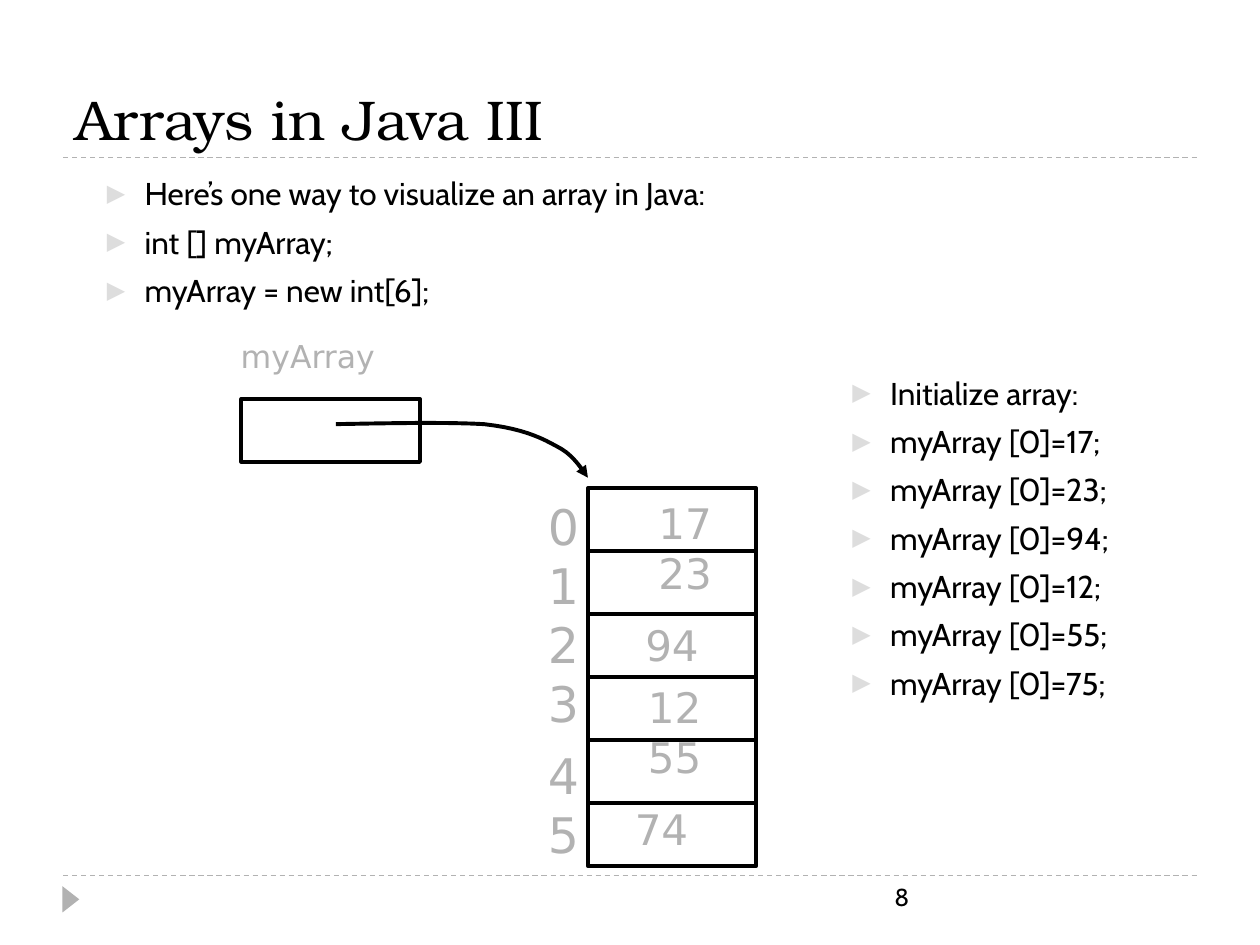
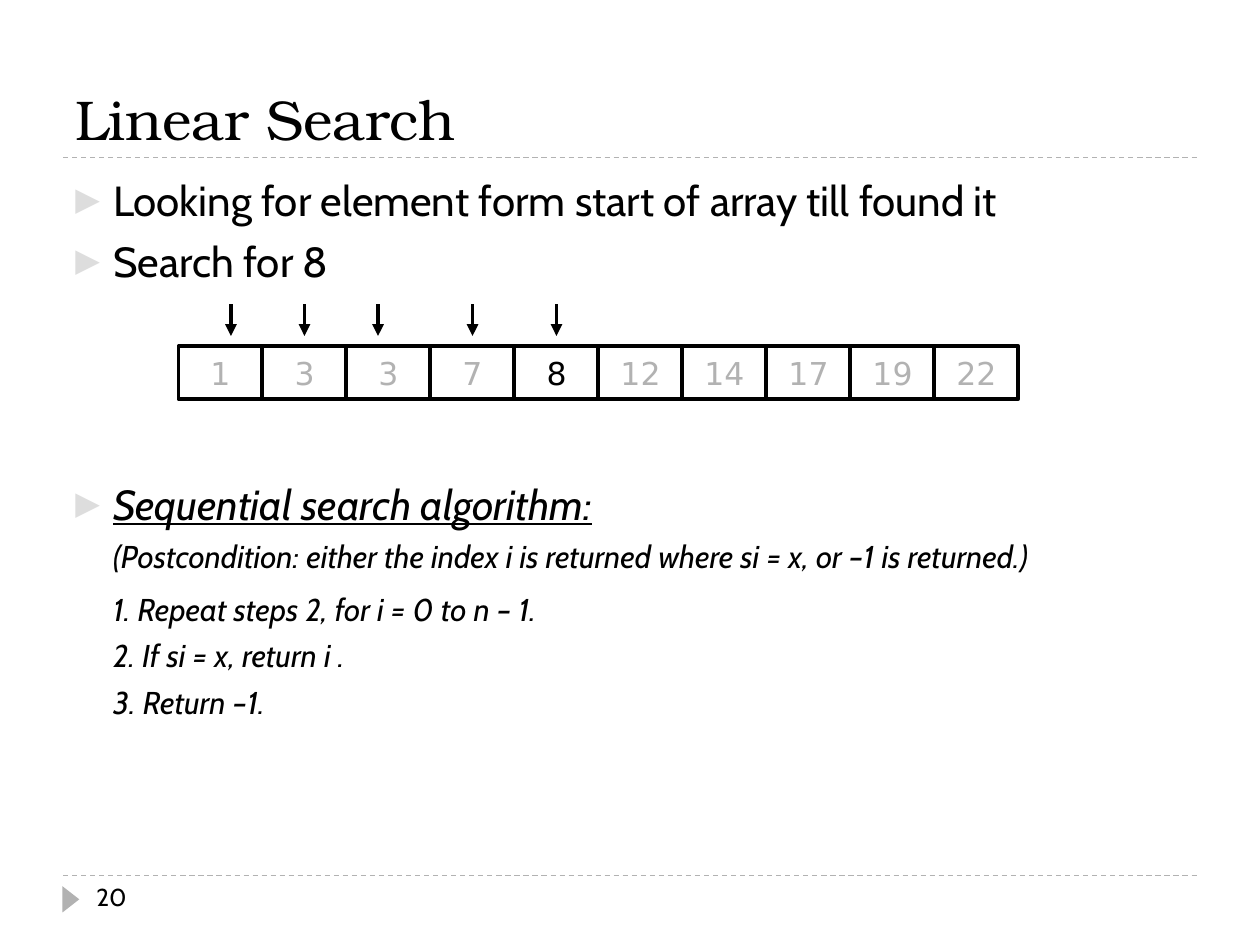
from typing import NamedTuple

from lxml.etree import SubElement
from pptx import Presentation
from pptx.dml.color import RGBColor
from pptx.enum.dml import MSO_LINE
from pptx.enum.shapes import MSO_CONNECTOR, MSO_SHAPE
from pptx.enum.text import MSO_ANCHOR, PP_ALIGN
from pptx.oxml.ns import qn
from pptx.util import Inches, Pt

COLOURS = {"ink": "000000", "muted": "B2B2B2", "bullet": "DDDDDD"}
TITLE_FONT, BODY_FONT, DIAGRAM_FONT = "TeX Gyre Bonum", "Cabin", "DejaVu Sans"
HANG = Inches(0.3)
COLUMNS, ROWS = 120, 90
SLIDE_WIDTH, SLIDE_HEIGHT = Inches(10), Inches(7.5)


class Box(NamedTuple):
    """An area measured in grid columns and rows."""
    x: float
    y: float
    w: float
    h: float

    def inner(self, dx, dy, w, h):
        return Box(self.x + dx, self.y + dy, w, h)

    def emu(self):
        return (*point(self.x, self.y), *point(self.w, self.h))


TITLE_AREA = Box(6, 2, 108, 13)
FOOTER_AREA = Box(6, 83.4, 108, 4.8)


def point(column, row):
    return round(column * SLIDE_WIDTH / COLUMNS), round(row * SLIDE_HEIGHT / ROWS)


def colour(name):
    return RGBColor.from_string(COLOURS[name])


# Text
def style(paragraph, size, font=BODY_FONT, ink="ink", italic=None, underline=None):
    face = paragraph.font
    face.size, face.name = Pt(size), font
    face.italic, face.underline = italic, underline
    face.color.rgb = colour(ink)


def text_frame(slide, box, anchor=MSO_ANCHOR.TOP):
    frame = slide.shapes.add_textbox(*box.emu()).text_frame
    frame.word_wrap = True
    frame.vertical_anchor = anchor
    return frame


def add_paragraph(frame, words, gap=0):
    """Append a paragraph; the first one in a frame gets no space before."""
    paragraph = frame.paragraphs[0]
    if paragraph.text:
        paragraph = frame.add_paragraph()
        paragraph.space_before = Pt(gap)
    paragraph.text = words
    return paragraph


def label(slide, box, words, size, anchor=MSO_ANCHOR.TOP, **look):
    style(add_paragraph(text_frame(slide, box, anchor), words), size, **look)


def indent(paragraph, margin, first=0):
    properties = paragraph._p.get_or_add_pPr()
    properties.set("marL", str(margin))
    properties.set("indent", str(first))
    return properties


def bullet(frame, words, size, gap=6, **look):
    paragraph = add_paragraph(frame, words, gap)
    properties = indent(paragraph, HANG, -HANG)
    bullet_colour = SubElement(properties, qn("a:buClr"))
    SubElement(bullet_colour, qn("a:srgbClr"), val=COLOURS["bullet"])
    SubElement(properties, qn("a:buSzPct"), val="76000")
    SubElement(properties, qn("a:buFont"), typeface=DIAGRAM_FONT)
    SubElement(properties, qn("a:buChar"), char="▶")
    style(paragraph, size, **look)


def bullet_list(slide, box, lines, size):
    frame = text_frame(slide, box)
    for line in lines:
        bullet(frame, line, size)
    return frame


# Lines and cells
def outline(line):
    line.color.rgb = colour("ink")
    line.width = Pt(2.25)


def arrowhead(line):
    SubElement(line._get_or_add_ln(), qn("a:tailEnd"), type="triangle")


def connect(slide, start, end):
    connector = slide.shapes.add_connector(
        MSO_CONNECTOR.STRAIGHT, *point(*start), *point(*end))
    SubElement(connector._element.spPr, qn("a:effectLst"))
    return connector


def dashed_rule(slide, x, y, width):
    line = connect(slide, (x, y), (x + width, y)).line
    line.color.rgb = colour("muted")
    line.width = Pt(0.75)
    line.dash_style = MSO_LINE.DASH


def cell(slide, box):
    rectangle = slide.shapes.add_shape(MSO_SHAPE.RECTANGLE, *box.emu())
    rectangle.shadow.inherit = False
    rectangle.fill.background()
    outline(rectangle.line)
    return rectangle


def bezier(start, first, second, end, steps=10):
    for step in range(1, steps + 1):
        t = step / steps
        weights = (1 - t) ** 3, 3 * t * (1 - t) ** 2, 3 * t * t * (1 - t), t ** 3
        yield tuple(sum(w * c for w, c in zip(weights, axis))
                    for axis in zip(start, first, second, end))


# Shared title, rules and footer
def slide_frame(deck, title, number, number_offset):
    slide = deck.slides.add_slide(deck.slide_layouts[6])
    area, footer = TITLE_AREA, FOOTER_AREA
    for y in (footer.y, area.y + area.h):
        dashed_rule(slide, area.x, y, area.w)
    marker = slide.shapes.add_shape(MSO_SHAPE.ISOSCELES_TRIANGLE,
                                    *footer.inner(-0.5, 1.45, 2.5, 1.6).emu())
    marker.rotation = 90
    marker.shadow.inherit = False
    marker.fill.solid()
    marker.fill.fore_color.rgb = colour("muted")
    marker.line.fill.background()
    label(slide, area, title, 32, MSO_ANCHOR.BOTTOM, font=TITLE_FONT)
    label(slide, footer.inner(number_offset, 0, 28, footer.h), number, 14)
    return slide


# Reference box, its pointer, and the stack of indexed cells
def array_diagram(slide, box):
    cell(slide, box.inner(0, 6.5, 17, 6))
    label(slide, box.inner(-1.25, 0, 19.5, 6), "myArray", 18,
          font=DIAGRAM_FONT, ink="muted")

    for dy, height, indices in ((15.2, 24, "0\v1\v2\v3"), (38.9, 12.5, "4\v5")):
        label(slide, box.inner(28, dy, 7, height), indices, 28,
              font=DIAGRAM_FONT, ink="muted")
    for index in range(6):
        cell(slide, box.inner(33, 15 + 6 * index, 16, 6))

    for dx, dy, pair, last in ((35, 15.3, "17\v23", "94"), (34, 32.8, "12\v55", "74")):
        frame = text_frame(slide, box.inner(dx, dy, 12, 18))
        for values, margin in ((pair, Inches(0.21)), (last, 0)):
            paragraph = add_paragraph(frame, values, gap=12)
            paragraph.alignment = PP_ALIGN.CENTER
            indent(paragraph, margin)
            style(paragraph, 24, DIAGRAM_FONT, "muted")

    curve = [(9, 8.9), (14.3, 8.8), (19.5, 8.7), (23.1, 8.9), (26.6, 9.3),
             (28.4, 10.1), (30, 11), (31.7, 11.8), (32.6, 13.5), (33, 14)]
    track = [curve[0]]
    for knot in range(0, len(curve) - 1, 3):
        track += bezier(*curve[knot:knot + 4])
    start, *rest = [point(box.x + dx, box.y + dy) for dx, dy in track]
    builder = slide.shapes.build_freeform(*start)
    builder.add_line_segments(rest, close=False)
    pointer = builder.convert_to_shape()
    pointer.shadow.inherit = False
    pointer.fill.background()
    outline(pointer.line)
    arrowhead(pointer.line)


# Row of sorted values with an arrow for each element visited
def search_row(slide, box, values, target, visits):
    width = box.w / len(values)
    for index, value in enumerate(values):
        rectangle = cell(slide, box.inner(index * width, 0, width, box.h))
        frame = rectangle.text_frame
        frame.word_wrap = False
        frame.vertical_anchor = MSO_ANCHOR.MIDDLE
        paragraph = add_paragraph(frame, str(value))
        paragraph.alignment = PP_ALIGN.CENTER
        style(paragraph, 18, DIAGRAM_FONT, "ink" if value == target else "muted")
    for dx in visits:
        visit = connect(slide, (box.x + dx, box.y - 4), (box.x + dx, box.y - 1))
        outline(visit.line)
        arrowhead(visit.line)


# Bullets around the row, then the numbered algorithm
def search_notes(slide, box):
    frame = bullet_list(slide, box, (
        "Looking for element form start of array till found it", "Search for 8"), 24)
    bullet(frame, "Sequential search algorithm:", 24, gap=110, italic=True, underline=True)
    for gap, step in (
            (5, "(Postcondition: either the index i is returned where si = x, or –1 is returned.)"),
            (8.5, "1. Repeat steps 2, for i = 0 to n – 1."),
            (5, "2. If si = x, return i ."),
            (5, "3. Return –1.")):
        paragraph = add_paragraph(frame, step, gap)
        paragraph.level = 1
        SubElement(indent(paragraph, 2 * HANG, -HANG), qn("a:buNone"))
        style(paragraph, 18, italic=True)


def array_slide(deck):
    slide = slide_frame(deck, "Arrays in Java III", "8", 78)
    bullet_list(slide, Box(9, 16, 104, 14), (
        "Here’s one way to visualize an array in Java:",
        "int [] myArray;",
        "myArray = new int[6];"), 18)
    array_diagram(slide, Box(23, 31.5, 49, 51))
    assignments = [f"myArray [0]={value};" for value in (17, 23, 94, 12, 55, 75)]
    bullet_list(slide, Box(80, 35, 35, 35), ["Initialize array:", *assignments], 18)


def search_slide(deck):
    slide = slide_frame(deck, "Linear Search", "20", 2)
    search_notes(slide, Box(6, 16, 108, 64.8))
    search_row(slide, Box(17, 33, 80, 5), (1, 3, 3, 7, 8, 12, 14, 17, 19, 22),
               target=8, visits=(5, 12, 19, 28, 36))


def main():
    deck = Presentation()
    deck.slide_width, deck.slide_height = SLIDE_WIDTH, SLIDE_HEIGHT
    array_slide(deck)
    search_slide(deck)
    deck.save("out.pptx")


if __name__ == "__main__":
    main()
